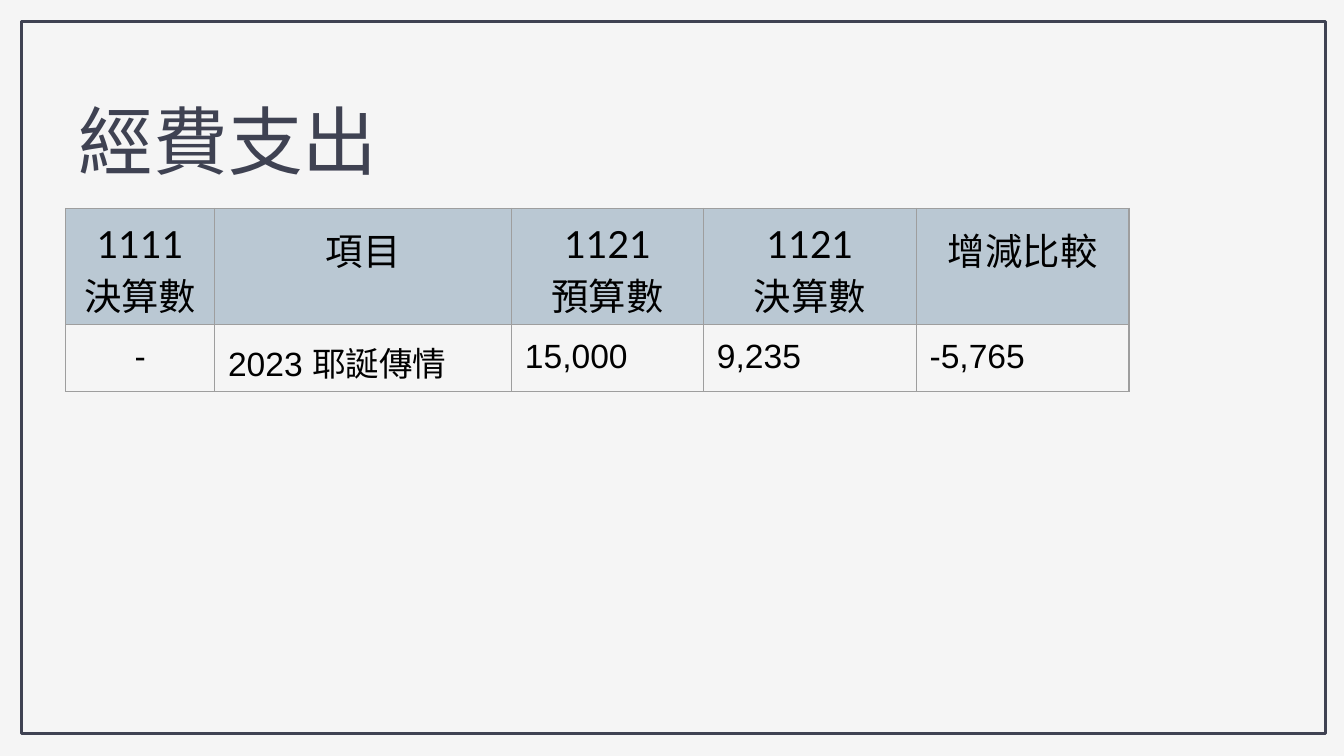
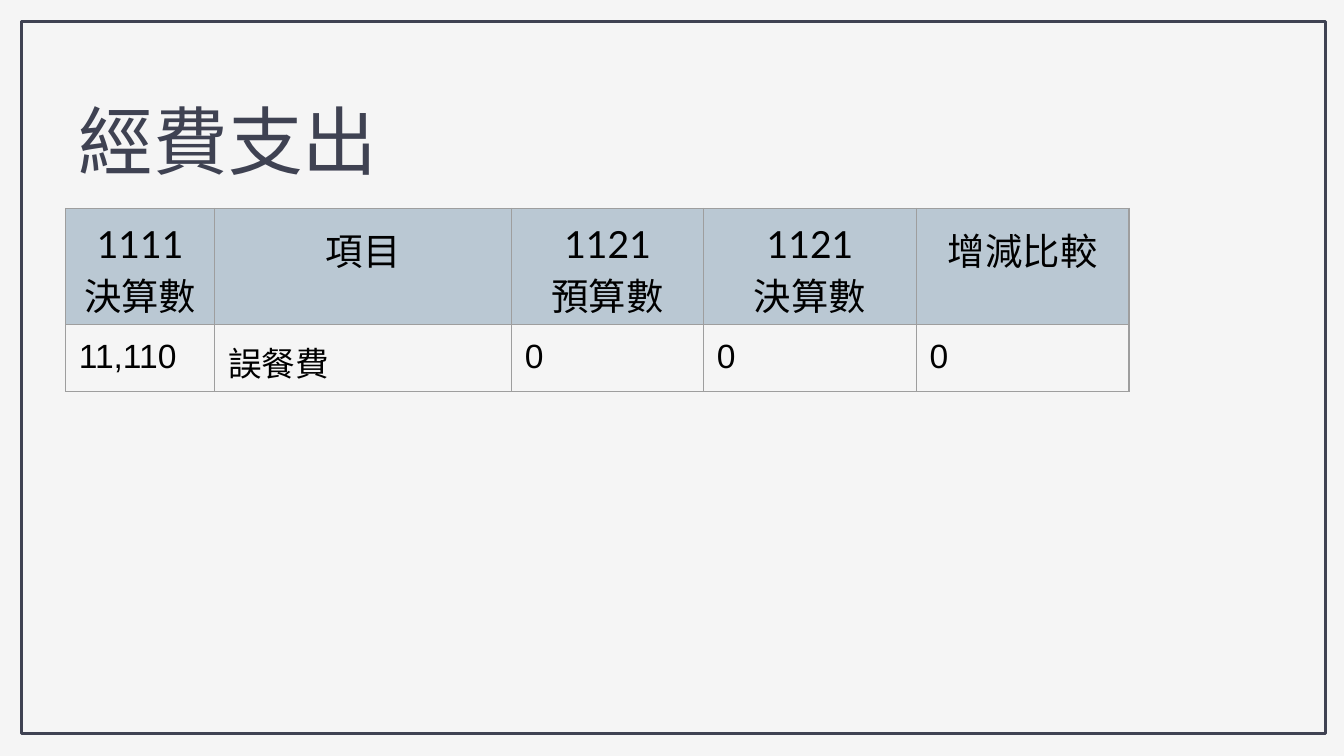
from lxml import etree
from pptx import Presentation
from pptx.dml.color import RGBColor
from pptx.enum import shapes, text
from pptx.oxml.ns import qn
from pptx.util import Cm, Pt

COLOURS = {
    "paper": "F5F5F5",
    "ink": "3F4252",
    "header": "BAC8D3",
    "grid": "9E9E9E",
    "text": "000000",
}
INSET = Cm(0.25)
LEFT = Cm(1.24)
COLUMN_WIDTHS = [Cm(w) for w in (2.82, 5.61, 3.63, 4.02, 4.02)]
ROW_HEIGHT = Cm(1.07)

TITLE = "經費支出"
HEADINGS = ["1111\n決算數", "項目", "1121\n預算數", "1121\n決算數", "增減比較"]
EXPENSES = [
    ["-", "2023 耶誕傳情", "15,000", "9,235", "-5,765"],
    ["11,110", "誤餐費", "0", "0", "0"],
]


def colour(name):
    return RGBColor.from_string(COLOURS[name])


def style_text(frame, font, size, ink, align):
    for para in frame.paragraphs:
        para.alignment = align
        para.font.name = font
        para.font.size = Pt(size)
        para.font.bold = False
        para.font.color.rgb = colour(ink)


def set_insets(box):
    box.margin_left = box.margin_right = INSET
    box.margin_top = box.margin_bottom = INSET


def add_frame(page):
    frame = page.shapes.add_shape(
        shapes.MSO_SHAPE.RECTANGLE, Cm(0.41), Cm(0.41), Cm(24.64), Cm(13.46))
    frame.shadow.inherit = False
    frame.fill.background()
    frame.line.color.rgb = colour("ink")
    frame.line.width = Pt(1.5)


def set_title(page):
    box = page.shapes.title
    box.left, box.top, box.width, box.height = LEFT, Cm(1.55), Cm(8.08), Cm(2.24)
    frame = box.text_frame
    frame.text = TITLE
    frame.word_wrap = True
    frame.auto_size = text.MSO_AUTO_SIZE.SHAPE_TO_FIT_TEXT
    frame.vertical_anchor = text.MSO_ANCHOR.TOP
    set_insets(frame)
    style_text(frame, "Lato", 40, "ink", text.PP_ALIGN.LEFT)


def add_borders(cell):
    properties = cell._tc.get_or_add_tcPr()
    for index, side in enumerate(("lnL", "lnR", "lnT", "lnB")):
        line = etree.Element(qn(f"a:{side}"), w=str(Pt(0.75)))
        fill = etree.SubElement(line, qn("a:solidFill"))
        etree.SubElement(fill, qn("a:srgbClr"), val=COLOURS["grid"])
        properties.insert(index, line)


def fill_cell(cell, words, font, size, align):
    cell.text = words
    cell.vertical_anchor = text.MSO_ANCHOR.TOP
    set_insets(cell)
    style_text(cell.text_frame, font, size, "text", align)
    add_borders(cell)


def add_expense_table(page, values):
    table = page.shapes.add_table(
        2, len(HEADINGS), LEFT, Cm(3.94), sum(COLUMN_WIDTHS), 2 * ROW_HEIGHT).table
    table.first_row = table.horz_banding = False
    for row in table.rows:
        row.height = ROW_HEIGHT
    for index, width in enumerate(COLUMN_WIDTHS):
        table.columns[index].width = width

        # Heading
        heading = table.cell(0, index)
        fill_cell(heading, HEADINGS[index], "Lato", 20, text.PP_ALIGN.CENTER)
        heading.fill.solid()
        heading.fill.fore_color.rgb = colour("header")

        # Value: a dash for "no figure" is centred
        value = table.cell(1, index)
        align = text.PP_ALIGN.CENTER if values[index] == "-" else text.PP_ALIGN.LEFT
        fill_cell(value, values[index], "Arial", 18, align)
        value.fill.background()


def main():
    deck = Presentation()
    deck.slide_width, deck.slide_height = Cm(25.4), Cm(14.29)

    # Shared background
    background = deck.slide_master.background.fill
    background.solid()
    background.fore_color.rgb = colour("paper")

    # One page per expense
    title_only = deck.slide_layouts.get_by_name("Title Only")
    for values in EXPENSES:
        page = deck.slides.add_slide(title_only)
        add_frame(page)
        add_expense_table(page, values)
        set_title(page)

    deck.save("out.pptx")


if __name__ == "__main__":
    main()
